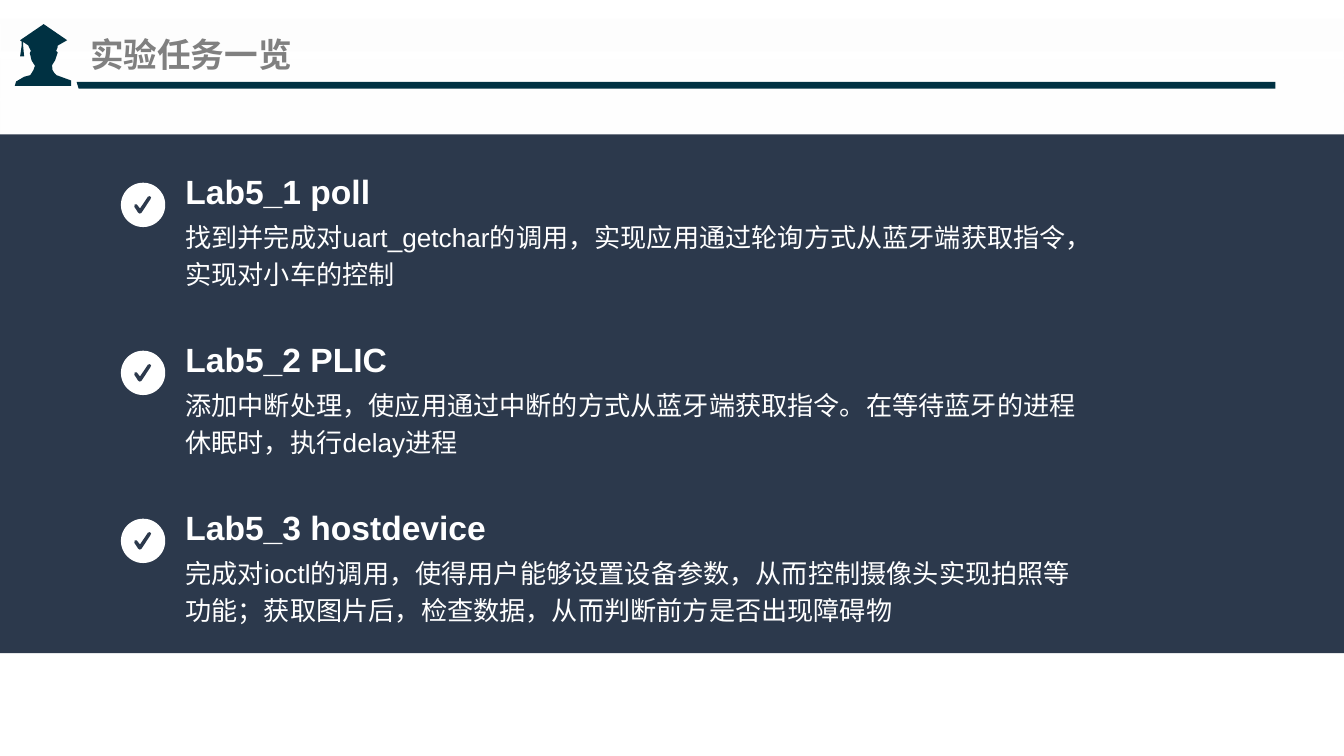
from typing import NamedTuple

from lxml.etree import SubElement
from pptx import Presentation
from pptx.dml.color import RGBColor
from pptx.enum.shapes import MSO_SHAPE
from pptx.enum.text import MSO_ANCHOR, MSO_AUTO_SIZE, PP_ALIGN
from pptx.oxml.ns import qn
from pptx.util import Inches, Pt

WHITE = RGBColor(0xFF, 0xFF, 0xFF)
PALE = RGBColor(0xF2, 0xF2, 0xF2)
GRAY = RGBColor(0x80, 0x80, 0x80)
TEAL = RGBColor(0x00, 0x31, 0x42)
NAVY = RGBColor(0x2C, 0x39, 0x4C)
LATIN, CJK = "Arial", "Noto Sans CJK SC"

SLIDE_W = 10
SLIDE_H = SLIDE_W * 9 / 16
FIRST_TOP, ROW_STEP = 1.36, 1.25

# Outlines in thousandths of an inch
RULE = [(570, 610), (9490, 610), (9490, 660), (585, 660)]
GRADUATE = [
    (530, 600), (420, 560), (405, 545), (390, 520), (388, 485), (410, 450),
    (430, 390), (418, 380), (430, 350), (430, 340), (500, 300), (325, 180),
    (150, 300), (162, 310), (162, 335), (150, 420), (180, 420), (172, 335),
    (172, 312), (210, 338), (230, 380), (222, 395), (235, 450), (260, 490),
    (250, 520), (235, 545), (225, 560), (180, 572), (120, 607), (110, 640),
    (530, 640),
]
TICK = [
    (40, 130), (28, 123), (0, 80), (2, 62), (18, 62), (42, 92), (100, 5),
    (114, 0), (124, 8), (120, 22), (52, 125),
]


class Task(NamedTuple):
    heading: str
    detail: str


TASKS = [
    Task("Lab5_1 poll",
         "找到并完成对uart_getchar的调用，实现应用通过轮询方式从蓝牙端获取指令，实现对小车的控制"),
    Task("Lab5_2 PLIC",
         "添加中断处理，使应用通过中断的方式从蓝牙端获取指令。在等待蓝牙的进程休眠时，执行delay进程"),
    Task("Lab5_3 hostdevice",
         "完成对ioctl的调用，使得用户能够设置设备参数，从而控制摄像头实现拍照等功能；获取图片后，检查数据，从而判断前方是否出现障碍物"),
]


def paint(sp, color: RGBColor) -> None:
    sp.shadow.inherit = False
    sp.fill.solid()
    sp.fill.fore_color.rgb = color
    sp.line.fill.background()


def add_outline(s, points: list, color: RGBColor, left=0.0, top=0.0) -> None:
    dx, dy = round(left * 1000), round(top * 1000)
    moved = [(x + dx, y + dy) for x, y in points]
    builder = s.shapes.build_freeform(*moved[0], scale=Inches(1) / 1000)
    builder.add_line_segments(moved[1:], close=True)
    paint(builder.convert_to_shape(), color)


def set_text(sp, text: str, size: int, color: RGBColor, font: str,
             inset_x=0.0, inset_y=0.0, bold=False, anchor=MSO_ANCHOR.TOP,
             spacing=1.0) -> None:
    tf = sp.text_frame
    tf.text = text
    tf.word_wrap = True
    tf.auto_size = MSO_AUTO_SIZE.NONE
    tf.vertical_anchor = anchor
    tf.margin_left = tf.margin_right = Inches(inset_x)
    tf.margin_top = tf.margin_bottom = Inches(inset_y)
    p = tf.paragraphs[0]
    p.alignment = PP_ALIGN.LEFT
    p.line_spacing = spacing
    r = p.runs[0]
    r.font.size, r.font.bold, r.font.name = Pt(size), bold, font
    r.font.color.rgb = color
    SubElement(r.font._element, qn("a:ea"), typeface=CJK)


def add_backdrop(s) -> None:
    sp = s.shapes.add_shape(MSO_SHAPE.RECTANGLE, 0, 0, Inches(SLIDE_W),
                            Inches(SLIDE_H))
    paint(sp, WHITE)
    sp.fill.gradient()
    sp.fill.gradient_angle = 270
    for stop, color, position in zip(sp.fill.gradient_stops, (WHITE, PALE),
                                     (0, 0.71)):
        stop.color.rgb = color
        stop.position = position
    # Transparency of each stop
    colors = sp._element.spPr.iter(qn("a:srgbClr"))
    for clr, alpha in zip(colors, (55000, 0)):
        SubElement(clr, qn("a:alpha"), val=str(alpha))


def add_task(s, task: Task, top: float) -> None:
    badge = s.shapes.add_shape(MSO_SHAPE.OVAL, Inches(0.9), Inches(top),
                               Inches(0.33), Inches(0.33))
    paint(badge, WHITE)
    add_outline(s, TICK, NAVY, 1, top + 0.1)
    heading = s.shapes.add_textbox(Inches(1.22), Inches(top - 0.03),
                                   Inches(3.89), Inches(0.18))
    set_text(heading, task.heading, 18, WHITE, LATIN, inset_x=0.16, bold=True,
             anchor=MSO_ANCHOR.MIDDLE)
    detail = s.shapes.add_textbox(Inches(1.22), Inches(top + 0.24),
                                  Inches(7.08), Inches(0.57))
    set_text(detail, task.detail, 14, WHITE, LATIN, inset_x=0.16, spacing=1.2)


def main() -> None:
    prs = Presentation()
    prs.slide_width, prs.slide_height = Inches(SLIDE_W), Inches(SLIDE_H)
    s = prs.slides.add_slide(prs.slide_layouts[5])

    # Backdrop and header
    add_backdrop(s)
    add_outline(s, RULE, TEAL)
    add_outline(s, GRADUATE, TEAL)
    title = s.shapes.title
    title.left, title.top = Inches(0.67), Inches(0.19)
    title.width, title.height = Inches(2.33), Inches(0.42)
    set_text(title, "实验任务一览", 18, GRAY, CJK, inset_y=0.05, bold=True,
             anchor=MSO_ANCHOR.MIDDLE)
    s.shapes._spTree.append(title._element)  # bring above the backdrop

    # Task panel
    panel = s.shapes.add_shape(MSO_SHAPE.RECTANGLE, 0, Inches(1),
                               Inches(SLIDE_W), Inches(3.86))
    paint(panel, NAVY)
    for i, task in enumerate(TASKS):
        add_task(s, task, FIRST_TOP + i * ROW_STEP)

    prs.save("out.pptx")


if __name__ == "__main__":
    main()
